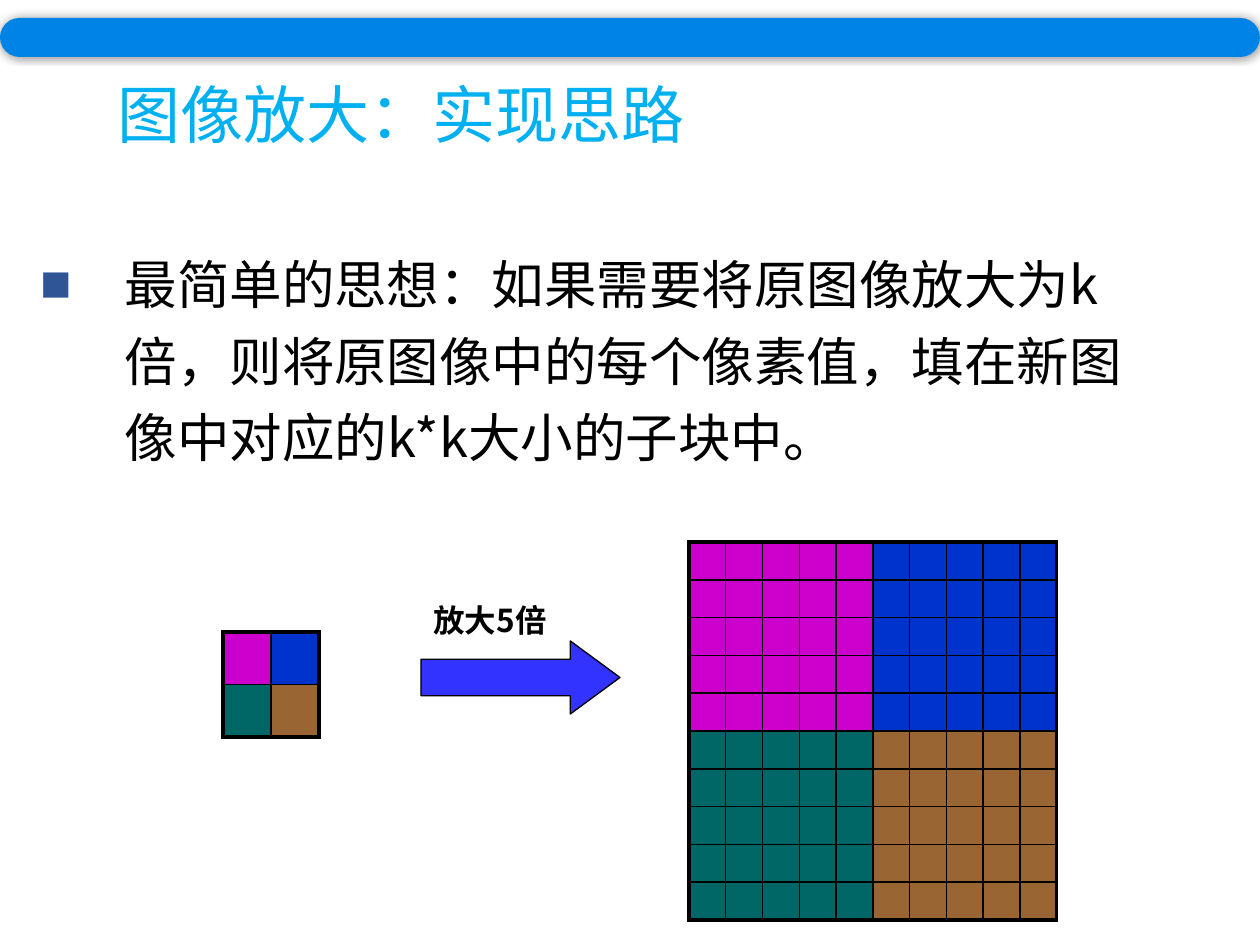
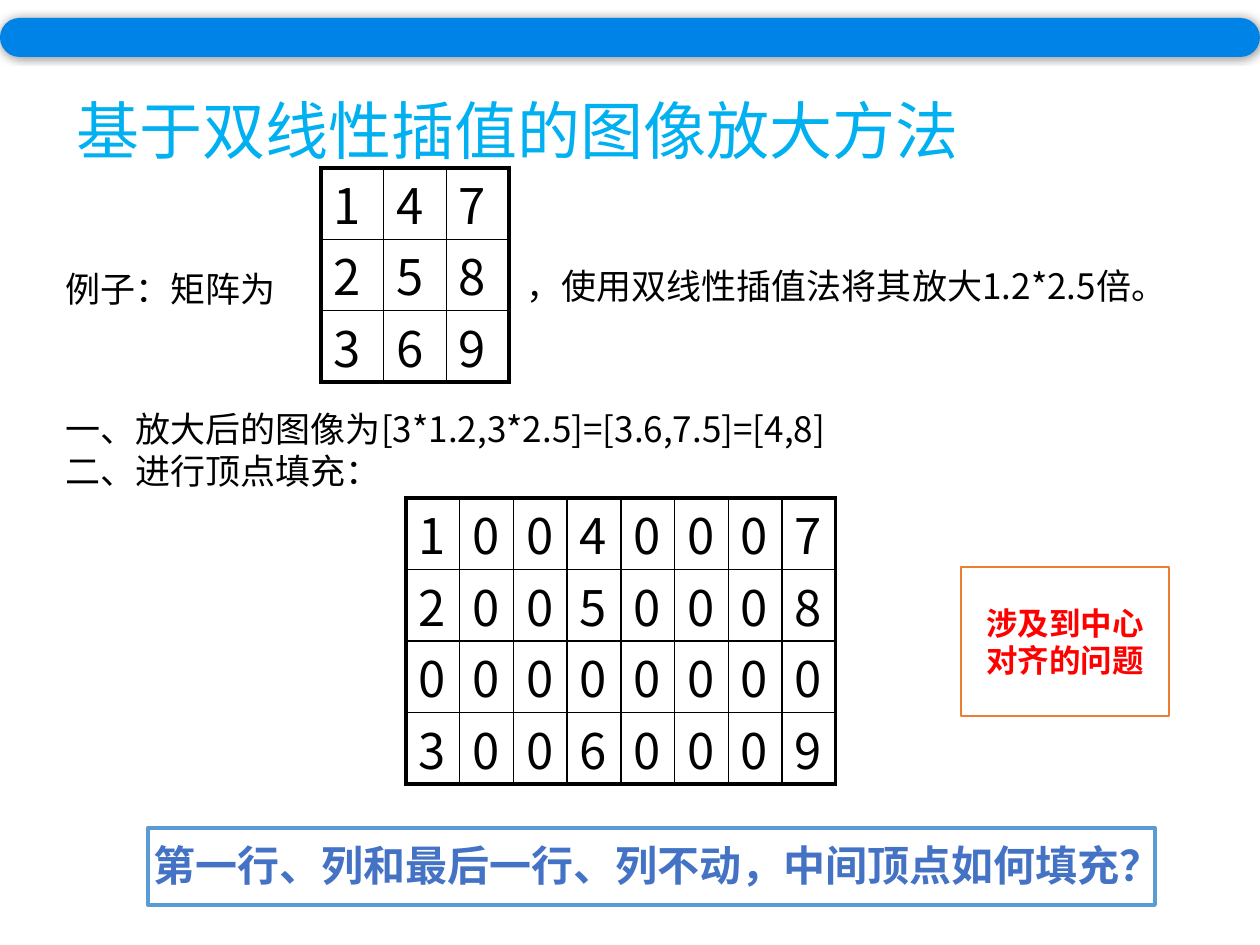
"""Build two slides on enlarging images by pixel copying and bilinear interpolation."""
from lxml.etree import SubElement
from pptx import Presentation
from pptx.dml.color import RGBColor
from pptx.enum.shapes import MSO_SHAPE as Shape
from pptx.enum.text import MSO_ANCHOR as Anchor, MSO_AUTO_SIZE as AutoSize, PP_ALIGN as Align
from pptx.oxml.ns import qn
from pptx.util import Emu, Pt

BLACK = RGBColor(0x00, 0x00, 0x00)
WHITE = RGBColor(0xFF, 0xFF, 0xFF)
RED = RGBColor(0xFF, 0x00, 0x00)
TITLE_BLUE = RGBColor(0x00, 0xB0, 0xF0)
BAND_BLUE = RGBColor(0x00, 0x83, 0xE6)
BULLET_BLUE = RGBColor(0x2F, 0x55, 0x97)
FRAME_BLUE = RGBColor(0x5B, 0x9B, 0xD5)
QUESTION_BLUE = RGBColor(0x44, 0x72, 0xC4)
ARROW_BLUE = RGBColor(0x33, 0x33, 0xFF)
ORANGE = RGBColor(0xED, 0x7D, 0x31)
MAGENTA = RGBColor(0xCC, 0x00, 0xCC)
BLUE = RGBColor(0x00, 0x33, 0xCC)
TEAL = RGBColor(0x00, 0x66, 0x66)
BROWN = RGBColor(0x99, 0x66, 0x33)

FONT = "Noto Sans CJK SC"
PIXELS_PER_INCH = 126
THIN, THICK = 1, 2.25


def px(length):
    """Turn pixels into EMU."""
    return Emu(round(length * 914400 / PIXELS_PER_INCH))


def apply(target, values):
    """Set each named attribute of the target."""
    for name, value in values.items():
        setattr(target, name, value)


def place(shape, box):
    """Move and size a shape to a box given in pixels."""
    apply(shape, dict(zip(("left", "top", "width", "height"), map(px, box))))


def write(frame, lines, size, color, bold=False, align=Align.LEFT, leading=1.2):
    """Fill a text frame with equally formatted paragraphs."""
    for index, line in enumerate(lines):
        paragraph = frame.paragraphs[0] if index == 0 else frame.add_paragraph()
        apply(paragraph, {"alignment": align, "space_before": Pt(0),
                          "line_spacing": Pt(round(size * leading, 1))})
        run = paragraph.add_run()
        run.text = line
        apply(run.font, {"name": FONT, "size": Pt(size), "bold": bold})
        run.font.color.rgb = color
        SubElement(run._r.get_or_add_rPr(), qn("a:ea"), typeface=FONT)


def add_color(parent, color):
    """Append a solid colour element and return it."""
    return SubElement(parent, qn("a:srgbClr"), val=str(color))


def set_borders(cell, widths):
    """Draw black cell borders with widths in left, right, top, bottom order."""
    properties = cell._tc.get_or_add_tcPr()
    for index, (side, width) in enumerate(zip("LRTB", widths)):
        line = SubElement(properties, qn(f"a:ln{side}"), w=str(Pt(width)))
        add_color(SubElement(line, qn("a:solidFill")), BLACK)
        properties.insert(index, line)


class Deck:
    """Holds the presentation style and the current slide."""

    def __init__(self):
        self.presentation = Presentation()
        apply(self.presentation, {"slide_width": px(1260), "slide_height": px(945)})
        self.slide = None

    def start(self, layout_index, title, box):
        layout = self.presentation.slide_layouts[layout_index]
        self.slide = self.presentation.slides.add_slide(layout)
        place(self.slide.shapes.title, box)
        frame = self.slide.shapes.title.text_frame
        apply(frame, {"vertical_anchor": Anchor.MIDDLE, "auto_size": AutoSize.NONE})
        write(frame, [title], 36, TITLE_BLUE)

    def bullet(self, text, box):
        body = self.slide.placeholders[1]
        place(body, box)
        body.text_frame.auto_size = AutoSize.NONE
        properties = body.text_frame.paragraphs[0]._p.get_or_add_pPr()
        properties.set("marL", str(px(84)))
        properties.set("indent", str(px(-84)))
        add_color(SubElement(properties, qn("a:buClr")), BULLET_BLUE)
        SubElement(properties, qn("a:buSzPct"), val="60000")
        SubElement(properties, qn("a:buFont"), typeface=FONT)
        SubElement(properties, qn("a:buChar"), char="■")
        write(body.text_frame, [text], 30, BLACK, leading=1.45)

    def shape(self, kind, box, fill, line=None, width=THIN, adjustments=()):
        shape = self.slide.shapes.add_shape(kind, *map(px, box))
        shape.shadow.inherit = False
        shape.fill.solid()
        shape.fill.fore_color.rgb = fill
        if line is None:
            shape.line.fill.background()
        else:
            shape.line.color.rgb = line
            shape.line.width = Pt(width)
        for index, value in enumerate(adjustments):
            shape.adjustments[index] = value
        return shape

    def band(self):
        band = self.shape(Shape.ROUNDED_RECTANGLE, (0, 18, 1260, 39), BAND_BLUE, adjustments=[0.5])
        effects = band._element.spPr.find(qn("a:effectLst"))
        shadow = SubElement(effects, qn("a:outerShdw"), blurRad=str(Pt(5)), dist="0", dir="0")
        SubElement(add_color(shadow, BLACK), qn("a:alpha"), val="40000")

    def text(self, lines, box, size=20, color=BLACK, bold=False):
        frame = self.slide.shapes.add_textbox(*map(px, box)).text_frame
        frame.word_wrap = True
        write(frame, lines, size, color, bold)

    def table(self, rows, box, fill_cell):
        row_count, column_count = len(rows), len(rows[0])
        left, top, width, height = box
        shape = self.slide.shapes.add_table(row_count, column_count, *map(px, box))
        table = shape.table
        apply(table, {"first_row": False, "horz_banding": False})
        for column in table.columns:
            column.width = px(width / column_count)
        for row in table.rows:
            row.height = px(height / row_count)
        for row, values in enumerate(rows):
            for column, value in enumerate(values):
                cell = table.cell(row, column)
                fill_cell(cell, value)
                edges = (column == 0, column == column_count - 1, row == 0, row == row_count - 1)
                set_borders(cell, [THICK if edge else THIN for edge in edges])

    def pixels(self, rows, box):
        def fill_cell(cell, color):
            cell.fill.solid()
            cell.fill.fore_color.rgb = color
            apply(cell, {"margin_top": 0, "margin_bottom": 0})
            SubElement(cell.text_frame.paragraphs[0]._p, qn("a:endParaRPr"), sz="800")
        self.table(rows, box, fill_cell)

    def matrix(self, rows, box):
        def fill_cell(cell, digit):
            cell.fill.background()
            apply(cell, {"margin_top": px(12), "margin_bottom": 0})
            write(cell.text_frame, [digit], 28, BLACK)
        self.table(rows, box, fill_cell)


def build_enlarging_idea(deck):
    """Show each pixel becoming a block of k by k pixels."""
    deck.start(1, "图像放大：实现思路", (105, 26, 1050, 174))
    deck.bullet("最简单的思想：如果需要将原图像放大为k倍，则将原图像中的每个像素值，"
                "填在新图像中对应的k*k大小的子块中。", (28, 233, 1111, 218))
    image = [[MAGENTA, BLUE], [TEAL, BROWN]]
    factor = 5
    enlarged = [[color for color in row for _ in range(factor)]
                for row in image for _ in range(factor)]
    deck.pixels(image, (223, 632, 96, 105))
    deck.pixels(enlarged, (689, 542, 368, 378))
    deck.shape(Shape.RIGHT_ARROW, (421, 641, 199, 73), ARROW_BLUE, BLACK, 0.75, [0.5, 0.68])
    deck.text([f"放大{factor}倍"], (421, 595, 159, 50), 18, bold=True)
    deck.band()


def build_bilinear_method(deck):
    """Show how the vertices of a matrix are placed before interpolation."""
    deck.start(5, "基于双线性插值的图像放大方法", (64, 73, 1067, 112))
    deck.shape(Shape.RECTANGLE, (148, 828, 1007, 77), WHITE, FRAME_BLUE, THICK)
    deck.text(["例子：矩阵为"], (53, 261, 260, 55))
    deck.text(["一、放大后的图像为[3*1.2,3*2.5]=[3.6,7.5]=[4,8]", "二、进行顶点填充："],
              (53, 401, 1203, 97))
    deck.text(["，使用双线性插值法将其放大1.2*2.5倍。"], (514, 258, 740, 55))
    deck.band()
    deck.matrix(["147", "258", "369"], (321, 168, 188, 214))
    deck.matrix(["10040007", "20050008", "00000000", "30060009"], (406, 498, 430, 286))
    deck.text(["第一行、列和最后一行、列不动，中间顶点如何填充？"],
              (141, 833, 1060, 63), 24, QUESTION_BLUE, True)
    note = deck.shape(Shape.RECTANGLE, (961, 567, 208, 149), WHITE, ORANGE)
    apply(note.text_frame, {"word_wrap": True, "vertical_anchor": Anchor.MIDDLE})
    write(note.text_frame, ["涉及到中心对齐的问题"], 18, RED, True, Align.CENTER)


def main():
    """Build and save the presentation."""
    deck = Deck()
    build_enlarging_idea(deck)
    build_bilinear_method(deck)
    deck.presentation.save("out.pptx")


if __name__ == "__main__":
    main()
